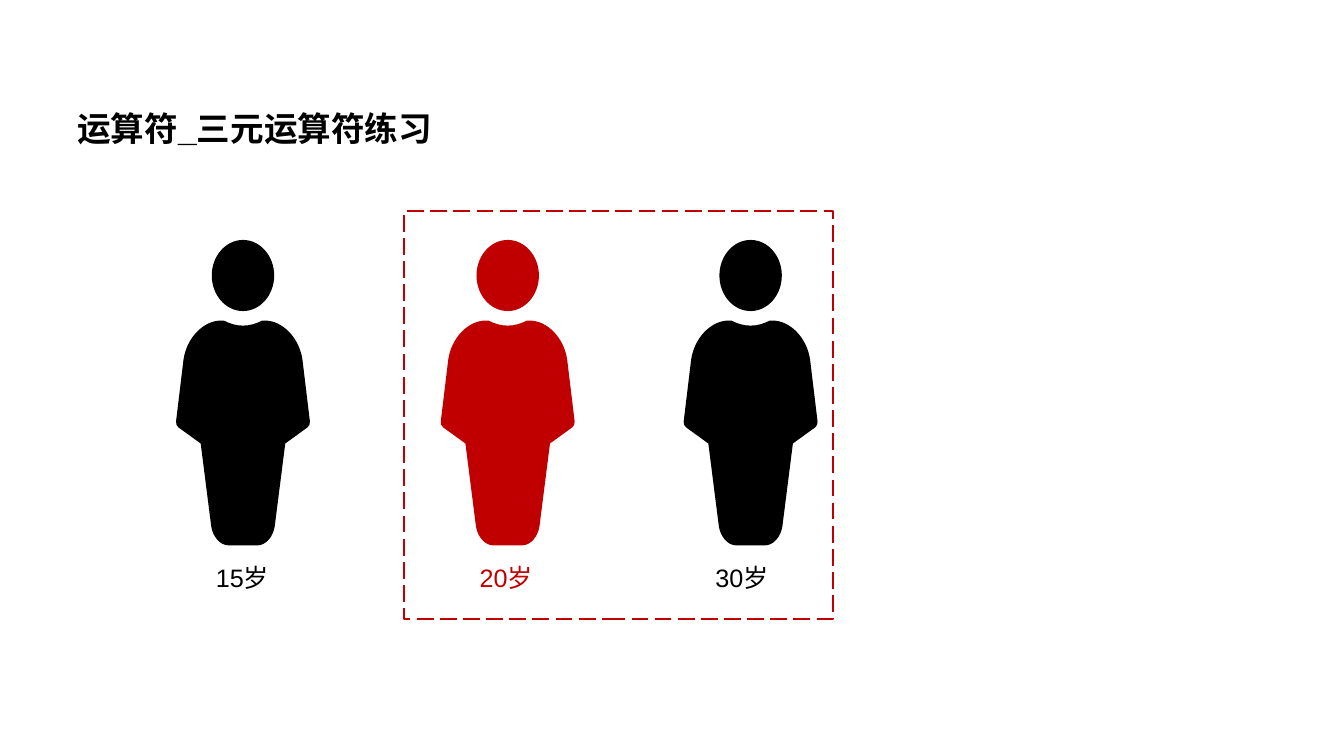
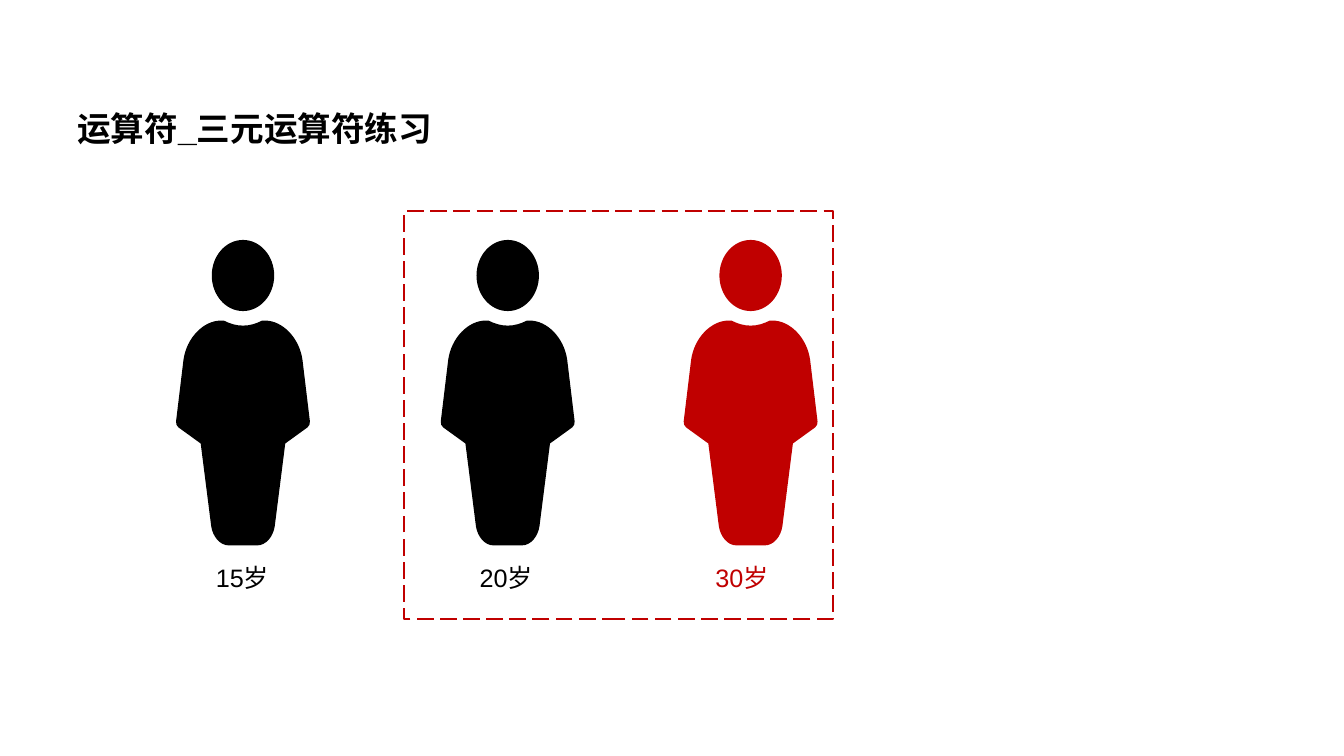
from lxml import etree
from pptx import Presentation
from pptx.dml.color import RGBColor
from pptx.enum import dml, shapes, text
from pptx.oxml.ns import qn
from pptx.util import Pt

THEME = {
    "font": "Arial",
    "normal": RGBColor(0x00, 0x00, 0x00),
    "accent": RGBColor(0xC0, 0x00, 0x00),
    "title_size": Pt(24),
    "label_size": Pt(18),
    "frame_line": Pt(1.5),
}

TITLE = "运算符_三元运算符练习"
TITLE_BOX = (48.2, 59, 845, 112)
FRAME_BOX = (288.8, 151, 306.3, 291)
PEOPLE = [  # label, centre of the figure, left of the label
    ("15岁", 173.6, 147.1),
    ("20岁", 362.7, 335.6),
    ("30岁", 536.2, 504),
]
HIGHLIGHTS = ["20岁", "30岁"]  # one slide for each

FIGURE_TOP = 171.4
LABEL_TOP, LABEL_WIDTH, LABEL_HEIGHT = 398, 232.6, 29

# Right halves of the outlines, relative to the top centre of the figure:
# a start, then segments; one point is a line, three points are a Bézier curve.
BODY_HALF = ((0, 61.2), [
    [(5, 61.2), (9.4, 59.8), (13.7, 57.6)],
    [(15.8, 57.6)],
    [(28.1, 57.6), (40.3, 69.8), (42.5, 85.7)],
    [(47.8, 129.6)],
    [(47.9, 131), (47.4, 133.2), (46.1, 133.9)],
    [(30.2, 145.4)],
    [(22.7, 204.5)],
    [(21.6, 211.7), (16.6, 218.2), (10.1, 218.2)],
])
HEAD_HALF = ((0, 0), [
    [(12.3, 0), (22.3, 11.4), (22.3, 25.4)],
    [(22.3, 39.4), (12.3, 50.8), (0, 50.8)],
])


def mirrored(half):
    """Close a right half with its mirror image; return points and segment sizes."""
    start, segments = half
    points = [start] + [point for segment in segments for point in segment]
    sizes = [len(segment) for segment in segments]
    reflection = [(-x, y) for x, y in reversed(points)]
    if points[-1][0] == 0:
        return points + reflection[1:], sizes + sizes[::-1]
    return points + reflection, sizes + [1] + sizes[::-1]


def bend_lines(shape, sizes):
    """Turn each group of three lines into one cubic curve."""
    lines = iter(list(shape.element.iter(qn("a:lnTo"))))
    for size in sizes:
        group = [next(lines) for _ in range(size)]
        if size == 3:
            curve = etree.Element(qn("a:cubicBezTo"))
            group[0].addprevious(curve)
            for line in group:
                curve.append(line[0])
                line.getparent().remove(line)


def add_person(slide, center, color):
    """Draw body and head as two contours of one freeform."""
    builder, all_sizes = None, []
    for half in (BODY_HALF, HEAD_HALF):
        points, sizes = mirrored(half)
        start, *rest = [(Pt(center + x), Pt(FIGURE_TOP + y)) for x, y in points]
        if builder is None:
            builder = slide.shapes.build_freeform(*start)
        else:
            builder.move_to(*start)
        builder.add_line_segments(rest, close=True)
        all_sizes += sizes
    person = builder.convert_to_shape()
    bend_lines(person, all_sizes)
    person.shadow.inherit = False
    person.fill.solid()
    person.fill.fore_color.rgb = color
    person.line.fill.background()


def add_text(slide, box, content, size, color, bold=False, line_spacing=None):
    frame = slide.shapes.add_textbox(*map(Pt, box)).text_frame
    frame.word_wrap = True
    frame.vertical_anchor = text.MSO_ANCHOR.TOP
    paragraph = frame.paragraphs[0]
    paragraph.line_spacing = line_spacing
    run = paragraph.add_run()
    run.text = content
    for name, value in {"name": THEME["font"], "size": size, "bold": bold}.items():
        setattr(run.font, name, value)
    run.font.color.rgb = color


def add_frame(slide):
    frame = slide.shapes.add_shape(shapes.MSO_SHAPE.RECTANGLE, *map(Pt, FRAME_BOX))
    frame.shadow.inherit = False
    frame.fill.background()
    frame.line.color.rgb = THEME["accent"]
    frame.line.width = THEME["frame_line"]
    frame.line.dash_style = dml.MSO_LINE.LONG_DASH


def add_slide(presentation, highlight):
    slide = presentation.slides.add_slide(presentation.slide_layouts[6])
    add_text(slide, TITLE_BOX, TITLE, THEME["title_size"], THEME["normal"],
             bold=True, line_spacing=1.5)
    colors = {label: THEME["accent" if label == highlight else "normal"]
              for label, _, _ in PEOPLE}
    for label, center, _ in PEOPLE:
        add_person(slide, center, colors[label])
    for label, _, left in PEOPLE:
        add_text(slide, (left, LABEL_TOP, LABEL_WIDTH, LABEL_HEIGHT),
                 label, THEME["label_size"], colors[label])
    add_frame(slide)


def main():
    presentation = Presentation()
    presentation.slide_width, presentation.slide_height = Pt(960), Pt(540)
    for highlight in HIGHLIGHTS:
        add_slide(presentation, highlight)
    presentation.save("out.pptx")


if __name__ == "__main__":
    main()
